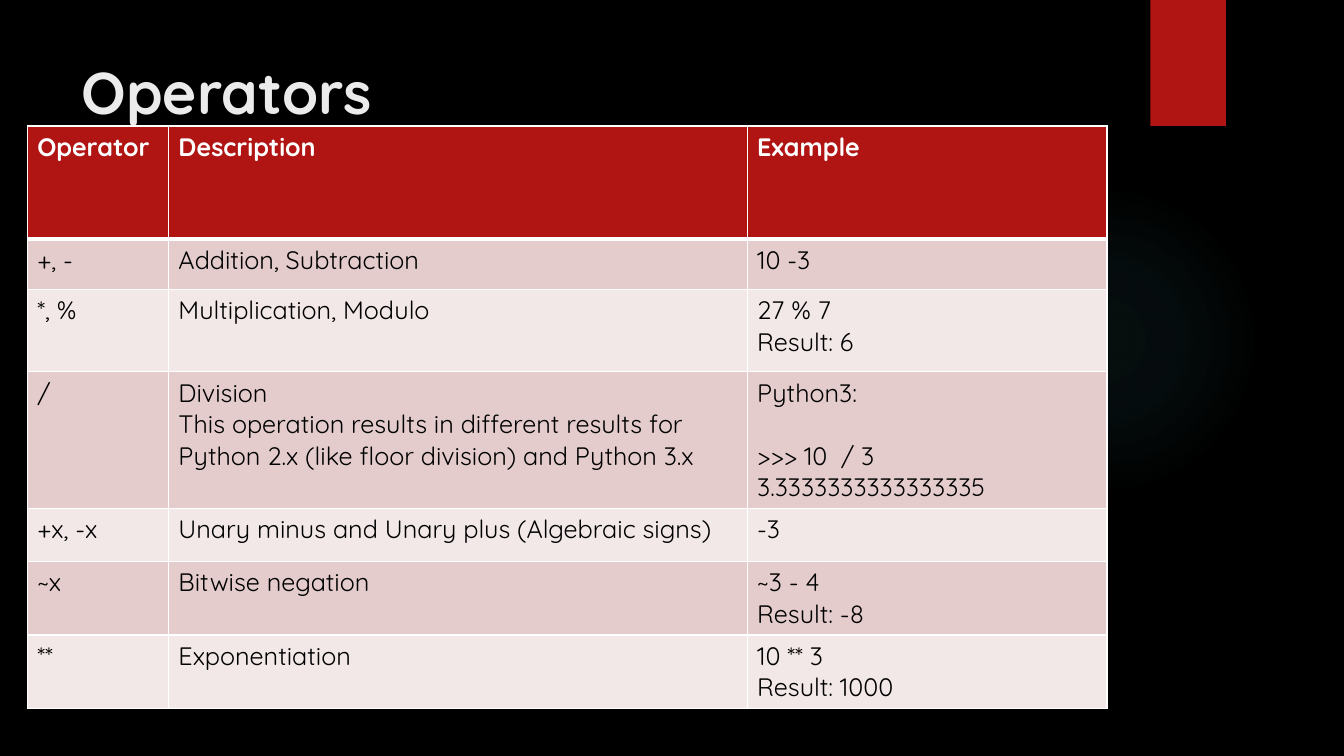
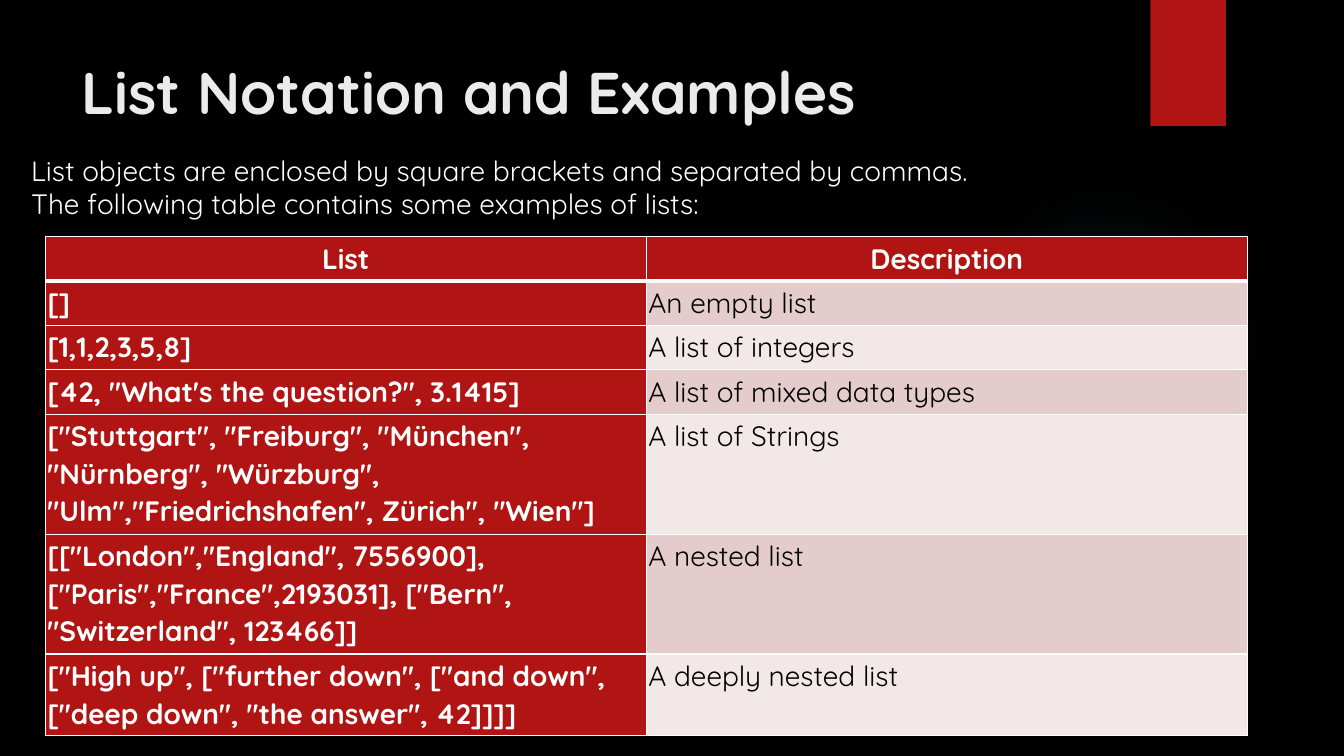
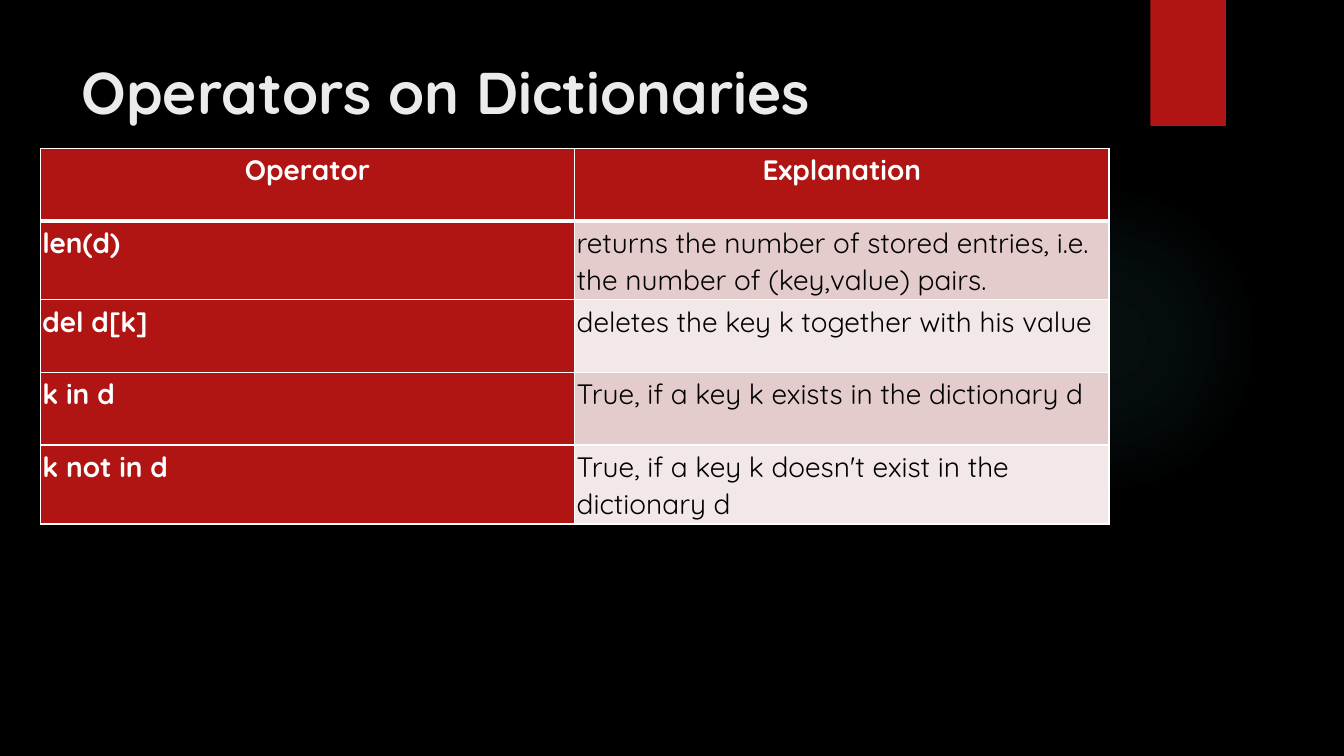
from lxml.etree import SubElement
from pptx import Presentation
from pptx.dml.color import RGBColor
from pptx.enum.shapes import MSO_SHAPE
from pptx.enum.text import MSO_ANCHOR, PP_ALIGN
from pptx.oxml import parse_xml
from pptx.oxml.ns import nsdecls, qn
from pptx.util import Inches, Pt

FONT = "Quicksand"
BLACK, WHITE, RED, GLOW, TITLE = "000000", "FFFFFF", "B01513", "50B9C1", "EBEBEB"
BANDS = ("E4CCCC", "F2E8E7")
GLOW_STOPS = ((0, 7), (36, 6), (69, 0))  # position, opacity in percent

# Content: "\n" starts a paragraph, "\n\n" one set off by a line of space
SLIDES = [
    {
        "title": "Operators",
        "at": (0.27, 1.25), "cols": (1.4, 5.74, 3.57),
        "heights": (1.12, 0.5, 0.82, 1.12, 0.53, 0.53, 0.53),
        "size": 18, "compact": False,
        "rows": [
            ("Operator", "Description", "Example"),
            ("+, -", "Addition, Subtraction", "10 -3"),
            ("*, %", "Multiplication, Modulo", "27 % 7\nResult: 6"),
            ("/", "Division\nThis operation results in different results for "
                  "Python 2.x (like floor division) and Python 3.x",
             "Python3:\n\n>>> 10  / 3\n3.3333333333333335"),
            ("+x, -x", "Unary minus and Unary plus (Algebraic signs)", "-3"),
            ("~x", "Bitwise negation", "~3 - 4\nResult: -8"),
            ("**", "Exponentiation", "10 ** 3\nResult: 1000"),
        ],
    },
    {
        "title": "List Notation and Examples",
        "intro": "List objects are enclosed by square brackets and separated by "
                 "commas. The following table contains some examples of lists:",
        "at": (0.45, 2.35), "cols": (5.96, 5.96),
        "heights": (0.44, 0.44, 0.44, 0.44, 1.19, 1.19, 0.81),
        "size": 20, "compact": True,
        "rows": [
            ("List", "Description"),
            ("[]", "An empty list"),
            ("[1,1,2,3,5,8]", "A list of integers"),
            ('[42, "What\'s the question?", 3.1415]', "A list of mixed data types"),
            ('["Stuttgart", "Freiburg", "München", "Nürnberg", "Würzburg", '
             '"Ulm","Friedrichshafen", Zürich", "Wien"]', "A list of Strings"),
            ('[["London","England", 7556900], ["Paris","France",2193031], '
             '["Bern", "Switzerland", 123466]]', "A nested list"),
            ('["High up", ["further down", ["and down", '
             '["deep down", "the answer", 42]]]]', "A deeply nested list"),
        ],
    },
    {
        "title": "Operators on Dictionaries",
        "at": (0.4, 1.47), "cols": (5.3, 5.3), "heights": (0.72,) * 5,
        "size": 20, "compact": True,
        "rows": [
            ("Operator", "Explanation"),
            ("len(d)", "returns the number of stored entries, i.e. "
                       "the number of (key,value) pairs."),
            ("del d[k]", "deletes the key k together with his value"),
            ("k in d", "True, if a key k exists in the dictionary d"),
            ("k not in d", "True, if a key k doesn't exist in the dictionary d"),
        ],
    },
]


def rgb(color):
    return RGBColor.from_string(color)


def place(sp, left, top, width, height):
    sp.left, sp.top, sp.width, sp.height = map(Inches, (left, top, width, height))


def style(p, size, color, bold=False):
    for r in p.runs:
        r.font.name, r.font.size, r.font.bold = FONT, Pt(size), bold
        r.font.color.rgb = rgb(color)


def add_decor(slide, layout):
    """Draw the glow and the red tab, then move them onto the shared layout."""
    glow = slide.shapes.add_shape(MSO_SHAPE.OVAL, *map(Inches, (9.41, 1.83, 3.08, 3.08)))
    tab = slide.shapes.add_shape(MSO_SHAPE.RECTANGLE, *map(Inches, (11.41, 0, 0.75, 1.25)))
    tab.fill.solid()
    tab.fill.fore_color.rgb = rgb(RED)
    stops = "".join(
        f'<a:gs pos="{pos * 1000}"><a:srgbClr val="{GLOW}">'
        f'<a:alpha val="{alpha * 1000}"/></a:srgbClr></a:gs>' for pos, alpha in GLOW_STOPS)
    glow.element.spPr.find(qn("a:prstGeom")).addnext(parse_xml(
        f'<a:gradFill {nsdecls("a")}><a:gsLst>{stops}</a:gsLst><a:path path="circle">'
        '<a:fillToRect l="50000" t="50000" r="50000" b="50000"/></a:path></a:gradFill>'))
    for sp in (glow, tab):
        sp.line.fill.background()
        sp.shadow.inherit = False
        layout.shapes.element.append(sp.element)


def set_borders(cell, header):
    tcPr = cell._tc.get_or_add_tcPr()
    sides = {"lnL": 1, "lnR": 1}
    if header:
        sides["lnT"] = 1
    sides["lnB"] = 3 if header else 1
    for side, width in sides.items():
        ln = SubElement(tcPr, qn(f"a:{side}"), w=str(Pt(width)))
        SubElement(SubElement(ln, qn("a:solidFill")), qn("a:srgbClr"), val=WHITE)


def fill_cell(cell, text, row, col, size, compact):
    header = row == 0
    strong = header or (compact and col == 0)
    set_borders(cell, header)
    cell.fill.solid()
    cell.fill.fore_color.rgb = rgb(RED if strong else BANDS[(row - 1) % 2])
    if compact:
        cell.margin_left = cell.margin_right = Inches(0.02)
        cell.margin_top = cell.margin_bottom = Inches(0.02)
    tf = cell.text_frame
    tf.text = text.replace("\n\n", "\n")
    spaced = [part.split("\n")[0] for part in text.split("\n\n")[1:]]
    for p in tf.paragraphs:
        style(p, size, WHITE if strong else BLACK, strong)
        if p.text in spaced:
            p.space_before = Pt(size * 1.25)
        if compact:
            p.line_spacing = 1.07
            p.alignment = PP_ALIGN.CENTER if header else PP_ALIGN.LEFT


def add_grid(slide, data):
    rows, cols, heights = data["rows"], data["cols"], data["heights"]
    size = (*data["at"], sum(cols), sum(heights))
    table = slide.shapes.add_table(len(rows), len(cols), *map(Inches, size)).table
    for column, width in zip(table.columns, cols):
        column.width = Inches(width)
    for i, (texts, height) in enumerate(zip(rows, heights)):
        table.rows[i].height = Inches(height)
        for j, text in enumerate(texts):
            fill_cell(table.cell(i, j), text, i, j, data["size"], data["compact"])


def add_intro(slide, text):
    box = slide.shapes.add_textbox(*map(Inches, (0.21, 1.47, 9.78, 1.1)))
    tf = box.text_frame
    tf.word_wrap = True
    tf.text = text
    style(tf.paragraphs[0], 20, WHITE)


def main():
    prs = Presentation()
    prs.slide_width, prs.slide_height = Inches(13.33), Inches(7.5)

    # Shared layout: background and title place
    layout = prs.slide_layouts[5]
    layout.background.fill.solid()
    layout.background.fill.fore_color.rgb = rgb(BLACK)
    place(layout.placeholders[0], 0.71, 0.5, 10.29, 1.53)

    # Slides
    for i, data in enumerate(SLIDES):
        slide = prs.slides.add_slide(layout)
        if i == 0:
            add_decor(slide, layout)
        tf = slide.shapes.title.text_frame
        tf.text = data["title"]
        tf.vertical_anchor = MSO_ANCHOR.TOP
        tf.paragraphs[0].alignment = PP_ALIGN.LEFT
        style(tf.paragraphs[0], 42, TITLE, True)
        if "intro" in data:
            add_intro(slide, data["intro"])
        add_grid(slide, data)

    prs.save("out.pptx")


if __name__ == "__main__":
    main()
